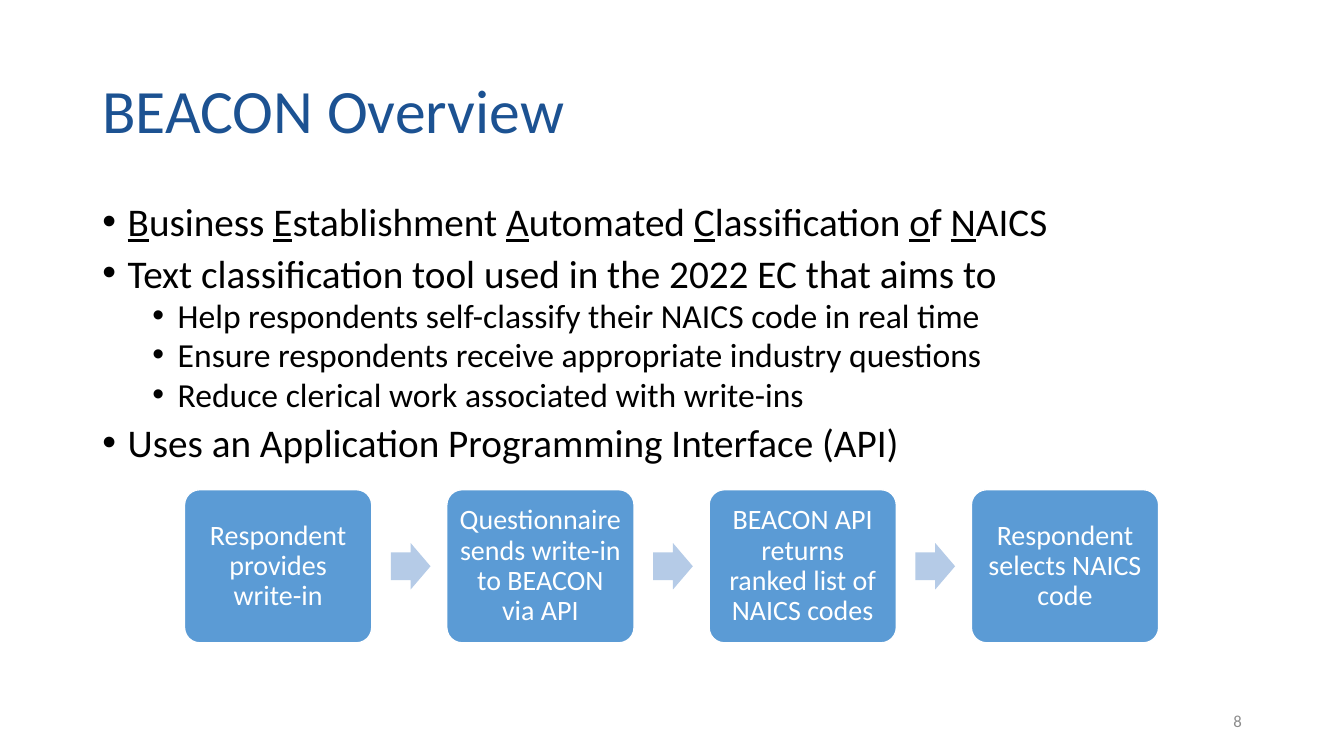
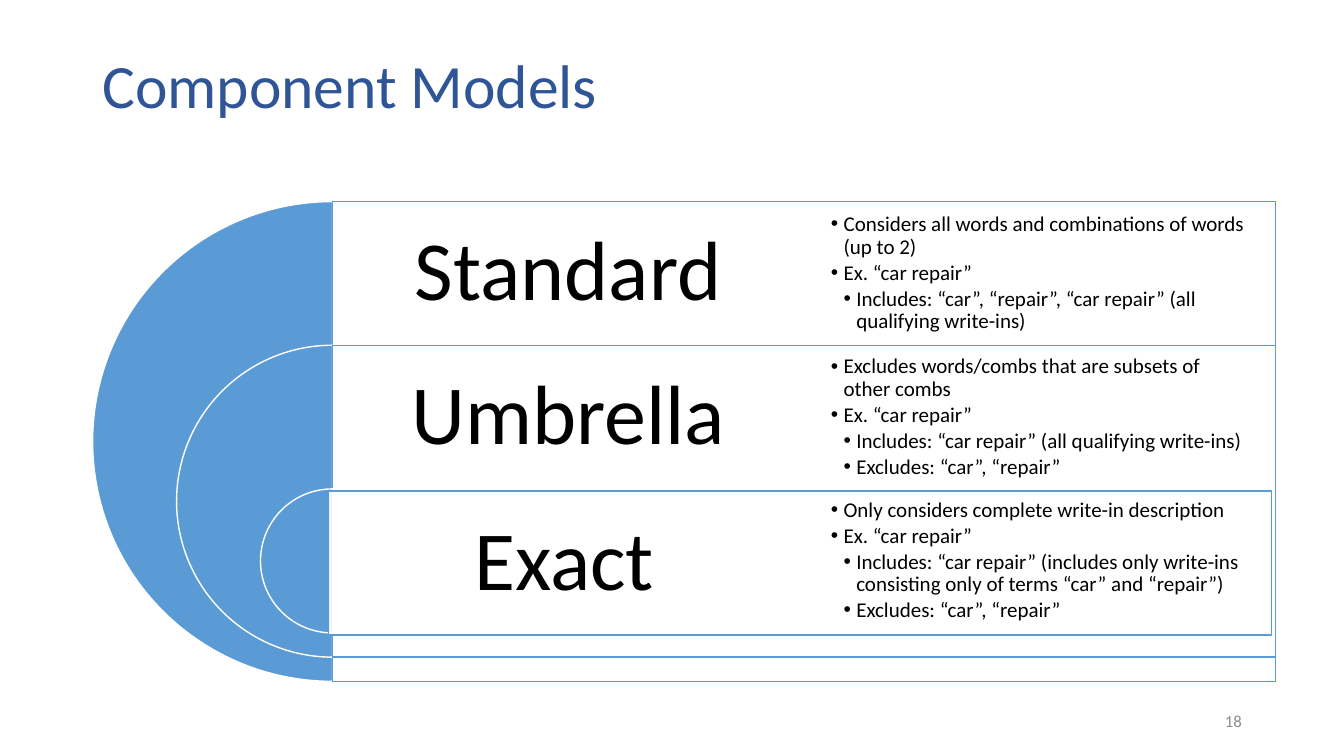
from lxml.etree import SubElement
from pptx import Presentation
from pptx.dml.color import RGBColor
from pptx.enum.shapes import MSO_SHAPE as Preset
from pptx.enum.text import MSO_ANCHOR as Anchor, PP_ALIGN as Align
from pptx.oxml.ns import qn
from pptx.util import Cm, Pt

COLORS = {
    "overview title": "1C5292",
    "models title": "2F5597",
    "text": "000000",
    "page number": "8C8C8C",
    "blue": "5B9BD5",
    "arrow": "B5CBE7",
    "white": "FFFFFF",
}
FONT = "Calibri"


def write_text(shape, lines, size, color, hang=None, inset=None, anchor=Anchor.MIDDLE, **paragraph_format):
    """Write (level, text, format overrides) lines; text between underscores is underlined.

    A hang length gives the lines bullets.
    """
    frame = shape.text_frame
    frame.word_wrap = True
    frame.vertical_anchor = anchor
    if inset is not None:
        for side in ("left", "top", "right", "bottom"):
            setattr(frame, f"margin_{side}", inset)
    for index, (level, text, overrides) in enumerate(lines):
        paragraph = frame.paragraphs[0] if index == 0 else frame.add_paragraph()
        values = {"level": level, "line_spacing": 0.9, **paragraph_format, **overrides}
        line_size = values.pop("size", size)
        margin = values.pop("margin", hang)
        for name, value in values.items():
            setattr(paragraph, name, value)
        if hang is not None:
            properties = paragraph._p.get_or_add_pPr()
            properties.set("marL", str(margin))
            properties.set("indent", str(-hang))
            SubElement(properties, qn("a:buFont"), typeface="Arial")
            SubElement(properties, qn("a:buChar"), char="•")
        for position, part in enumerate(text.split("_")):
            if part:
                run = paragraph.add_run()
                run.text = part
                run.font.color.rgb = RGBColor.from_string(COLORS[color])
                font_format = {"name": FONT, "size": Pt(line_size), "underline": position % 2 == 1}
                for name, value in font_format.items():
                    setattr(run.font, name, value)


def add_block(slide, preset, box, fill, line=None, adjustments=()):
    shape = slide.shapes.add_shape(preset, *map(Cm, box))
    shape.shadow.inherit = False
    shape.fill.solid()
    shape.fill.fore_color.rgb = RGBColor.from_string(COLORS[fill])
    if line:
        shape.line.color.rgb = RGBColor.from_string(COLORS[line])
        shape.line.width = Pt(1)
    else:
        shape.line.fill.background()
    for index, value in enumerate(adjustments):
        shape.adjustments[index] = value
    return shape


presentation = Presentation()
presentation.slide_width = Cm(33.87)
presentation.slide_height = Cm(19.05)
blank_layout = presentation.slide_layouts[6]

# Title and page number of every slide
slides = []
for title, title_color, title_top, page_number in [
    ("BEACON Overview", "overview title", 1.01, "8"),
    ("Component Models", "models title", 0.38, "18"),
]:
    slide = presentation.slides.add_slide(blank_layout)
    title_box = slide.shapes.add_textbox(Cm(2.33), Cm(title_top), Cm(29.21), Cm(3.68))
    write_text(title_box, [(0, title, {})], 44, title_color)
    number_box = slide.shapes.add_textbox(Cm(23.93), Cm(17.66), Cm(7.62), Cm(1.01))
    write_text(number_box, [(0, page_number, {})], 12, "page number", alignment=Align.RIGHT, line_spacing=1.0)
    slides.append(slide)
overview, models = slides

# BEACON Overview: bullets
sub_bullet = {"size": 24, "space_before": Pt(5), "margin": Cm(1.9)}
body = overview.shapes.add_textbox(Cm(2.33), Cm(5.08), Cm(29.21), Cm(7.21))
write_text(
    body,
    [
        (0, "_B_usiness _E_stablishment _A_utomated _C_lassification _o_f _N_AICS", {}),
        (0, "Text classification tool used in the 2022 EC that aims to", {}),
        (1, "Help respondents self-classify their NAICS code in real time", sub_bullet),
        (1, "Ensure respondents receive appropriate industry questions", sub_bullet),
        (1, "Reduce clerical work associated with write-ins", sub_bullet),
        (0, "Uses an Application Programming Interface (API)", {}),
    ],
    28, "text", hang=Cm(0.64), anchor=Anchor.TOP, line_spacing=0.8, space_before=Pt(10),
)

# BEACON Overview: process steps
steps = [
    "Respondent provides write-in",
    "Questionnaire sends write-in to BEACON via API",
    "BEACON API returns ranked list of NAICS codes",
    "Respondent selects NAICS code",
]
step_top, step_width, step_height, step_pitch = 12.34, 4.72, 3.86, 6.61
arrow_width, arrow_height = 1, 1.17
for index, step in enumerate(steps):
    left = 4.65 + index * step_pitch
    step_box = (left, step_top, step_width, step_height)
    block = add_block(overview, Preset.ROUNDED_RECTANGLE, step_box, "blue", "white", [0.1])
    write_text(block, [(0, step, {})], 20, "white", inset=Cm(0.2), alignment=Align.CENTER)
    if index < len(steps) - 1:
        arrow_top = step_top + (step_height - arrow_height) / 2
        arrow_box = (left + 5.2, arrow_top, arrow_width, arrow_height)
        add_block(overview, Preset.RIGHT_ARROW, arrow_box, "arrow", adjustments=[0.6, 0.5])

# Component Models: nested half circles, each with a panel
component_models = [
    ("Standard", 0, 0, [
        (1, "Considers all words and combinations of words (up to 2)"),
        (1, "Ex. “car repair”"),
        (2, "Includes: “car”, “repair”, “car repair” (all qualifying write-ins)"),
    ]),
    ("Umbrella", 0, 0, [
        (1, "Excludes words/combs that are subsets of other combs"),
        (1, "Ex. “car repair”"),
        (2, "Includes: “car repair” (all qualifying write-ins)"),
        (2, "Excludes: “car”, “repair”"),
    ]),
    ("Exact", -0.1, 0.05, [
        (1, "Only considers complete write-in description"),
        (1, "Ex. “car repair”"),
        (2, "Includes: “car repair” (includes only write-ins consisting only of terms “car” and “repair”)"),
        (2, "Excludes: “car”, “repair”"),
    ]),
]
center, column_width, row_height = 8.38, 11.88, 3.63
for index, (name, shift_x, shift_y, details) in enumerate(component_models):
    top = 5.08 + index * 3.62
    diameter = 12.09 - index * 4.23
    circle_box = (center - diameter / 2, top, diameter, diameter)
    add_block(models, Preset.PIE, circle_box, "blue", "white", [54, 162])

    panel_left, panel_top = center + shift_x, top + shift_y
    panel_box = (panel_left, panel_top, 2 * column_width, diameter)
    panel = add_block(models, Preset.RECTANGLE, panel_box, "white", "blue")
    panel_color = panel._element.spPr.find(qn("a:solidFill"))[0]
    SubElement(panel_color, qn("a:alpha"), val="90000")

    name_box = models.shapes.add_textbox(Cm(panel_left), Cm(panel_top), Cm(column_width), Cm(row_height))
    write_text(name_box, [(0, name, {})], 60, "text", inset=Cm(0.64), alignment=Align.CENTER)

    detail_box = models.shapes.add_textbox(Cm(center + column_width), Cm(top), Cm(column_width), Cm(row_height))
    detail_lines = [(level, text, {"margin": level * Cm(0.32)}) for level, text in details]
    write_text(detail_box, detail_lines, 15, "text", hang=Cm(0.32), inset=Cm(0.68), space_after=Pt(2.25))

presentation.save("out.pptx")
